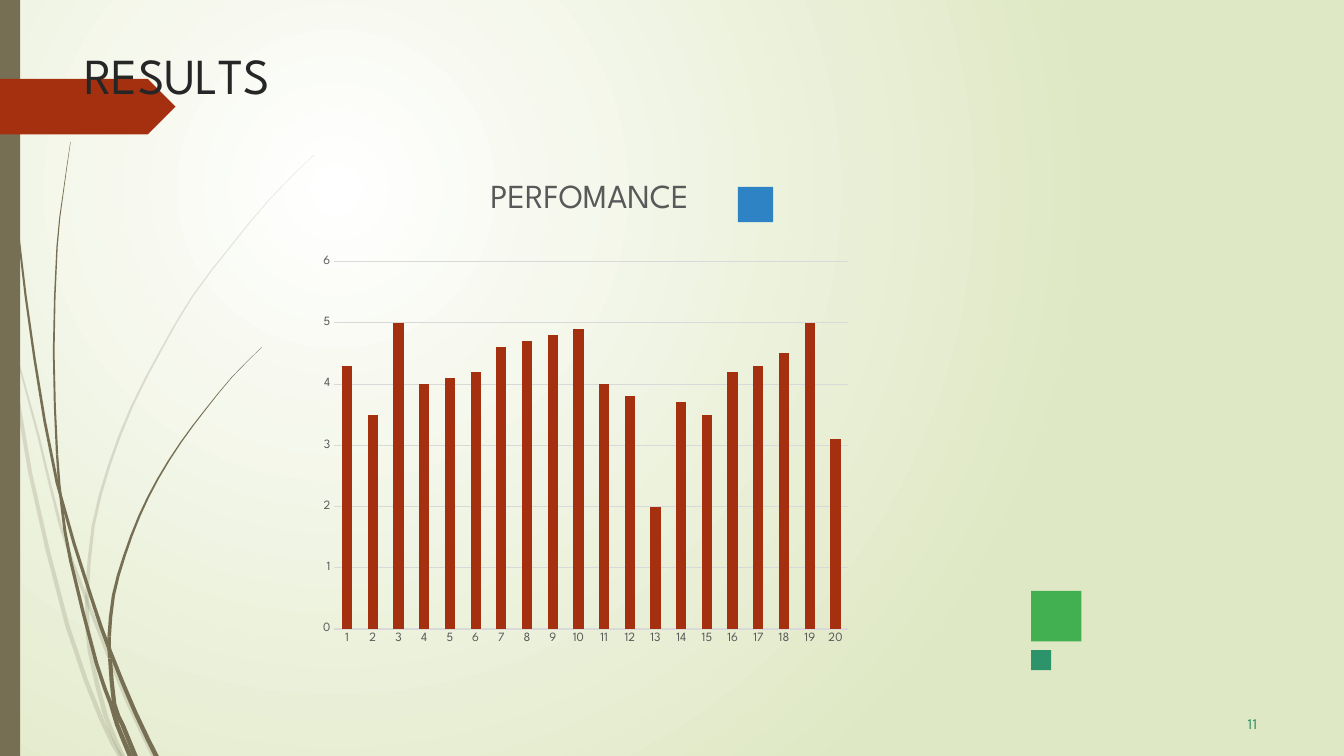
"""Build the results slide: a column chart of performance beside grass strands."""
from dataclasses import dataclass
from itertools import pairwise

from lxml.etree import SubElement
from pptx import Presentation
from pptx.chart.data import CategoryChartData
from pptx.dml.color import RGBColor
from pptx.enum.chart import XL_CHART_TYPE as ChartType, XL_TICK_MARK as TickMark
from pptx.enum.shapes import MSO_SHAPE as Preset
from pptx.enum.text import MSO_ANCHOR as Anchor, MSO_AUTO_SIZE as AutoSize, PP_ALIGN as Align
from pptx.oxml.ns import qn
from pptx.util import Inches, Pt


@dataclass(frozen=True)
class Theme:
    heading: str = "League Spartan"
    body: str = "Karla"
    ink: str = "262626"
    muted: str = "595959"
    grid: str = "D9D9D9"
    glow: str = "FFFFFF"
    meadow: str = "DFE8C4"
    olive: str = "766F54"
    rust: str = "A53010"
    green: str = "42AF51"
    blue: str = "2D83C3"
    teal: str = "2D936B"
    title_size: int = 36
    chart_title_size: int = 24
    number_size: int = 11
    axis_size: int = 9


theme = Theme()
CELL = Inches(1) / 12
COLUMNS, ROWS = 160, 90
STEPS = 2
HALF_WIDTH = 0.32


def write(paragraph, text, size, color, font=theme.heading, spacing=0):
    run = paragraph.add_run()
    run.text = text
    run.font.size, run.font.name, run.font.bold = Pt(size), font, False
    run.font.color.rgb = RGBColor.from_string(color)
    if spacing:
        run._r.get_or_add_rPr().set("spc", str(round(spacing * 100)))


def paint(shape, color):
    shape.fill.solid()
    shape.fill.fore_color.rgb = RGBColor.from_string(color)
    shape.line.fill.background()
    shape.shadow.inherit = False


presentation = Presentation()
presentation.slide_width, presentation.slide_height = round(COLUMNS * CELL), round(ROWS * CELL)
slide = presentation.slides.add_slide(presentation.slide_layouts[5])

background = slide.background.fill
background.gradient()
for stop, position, color in zip(background.gradient_stops, (0, 1), (theme.glow, theme.meadow)):
    stop.position = position
    stop.color.rgb = RGBColor.from_string(color)
gradient = next(slide.element.iter(qn("a:gradFill")))
gradient.remove(gradient.find(qn("a:lin")))
circle = SubElement(gradient, qn("a:path"), path="circle")
SubElement(circle, qn("a:fillToRect"), l="50000", t="50000", r="100000", b="100000")

strands = [
    (20, 0.6, (1, 4), [(0, 34.8), (1.3, 42), (3.6, 56.3), (8, 74.4), (12.1, 85.7), (14.3, 90)]),
    (20, 0.3, (3,), [(1.7, 41.4), (4.6, 52), (7.2, 62.6), (10.4, 71.6), (15, 83.1), (18.3, 90)]),
    (20, 0.06, (8, 9, 11), [
        (37.4, 18.4), (32.2, 23.6), (27.4, 29.4), (22.9, 35.3), (19.1, 41.8), (15.7, 48.4),
        (13, 55.4), (11.1, 62.6), (10.4, 70.1), (10.4, 73.2), (10.7, 77.5), (12.6, 85.3),
        (14.6, 90)]),
    (100, 0.15, (4, 6), [
        (0.4, 0), (0.9, 13.2), (2.2, 28), (4.1, 42.6), (6.8, 57.5), (10.8, 70.9),
        (13.1, 77.5), (16.1, 84.8), (18.6, 90)]),
    (100, 0.06, (4, 5, 9), [
        (8.4, 16.9), (7.5, 23.2), (6.8, 29.4), (6.4, 41.9), (6.8, 54.1), (7.4, 60.6),
        (8.4, 66.7), (11.5, 79), (13.2, 83.8), (14, 86.4), (15.5, 90)]),
    (100, 0.06, (8, 9, 11), [
        (31.2, 41.3), (27.7, 44.8), (24.5, 48.7), (21.5, 52.7), (18.8, 57), (16.6, 61.4),
        (14.8, 66.2), (13.5, 70.9), (13, 75.8), (13.1, 78.4), (13.6, 83.8), (14.6, 86.3),
        (16.1, 90)]),
]
for opacity, tip, cuts, knots in strands:
    padded = [knots[0], *knots, knots[-1]]
    curve = []
    for before, start, end, after in zip(padded, padded[1:], padded[2:], padded[3:]):
        for step in range(STEPS):
            t = step / STEPS
            curve.append([
                b + (c - a) * t / 2 + (2 * a - 5 * b + 4 * c - d) * t**2 / 2
                + (3 * b - a - 3 * c + d) * t**3 / 2
                for a, b, c, d in zip(before, start, end, after)
            ])
    curve.append(knots[-1])
    taper = [HALF_WIDTH * (tip + (1 - tip) * i / len(curve)) for i in range(len(curve))]
    left = [((x - half) * CELL, y * CELL) for (x, y), half in zip(curve, taper)]
    right = [((x + half) * CELL, y * CELL) for (x, y), half in zip(curve, taper)]
    for first, last in pairwise((0, *cuts, len(knots) - 1)):
        span = slice(first * STEPS, last * STEPS + 1)
        builder = slide.shapes.build_freeform(*left[span][0])
        builder.add_line_segments(left[span][1:] + right[span][::-1], close=True)
        blade = builder.convert_to_shape()
        paint(blade, theme.olive)
        if opacity < 100:
            fill_color = blade.element.spPr.find(qn("a:solidFill"))[0]
            SubElement(fill_color, qn("a:alpha"), val=str(opacity * 1000))

blocks = [
    (Preset.RECTANGLE, theme.olive, (0, 0, 2.4, ROWS)),
    (Preset.PENTAGON, theme.rust, (0, 9.4, 20.9, 6.6)),
    (Preset.RECTANGLE, theme.green, (122.75, 70.35, 6, 6)),
    (Preset.RECTANGLE, theme.blue, (87.85, 22.25, 4.2, 4.2)),
    (Preset.RECTANGLE, theme.teal, (122.75, 77.4, 2.4, 2.4)),
]
for preset, color, box in blocks:
    paint(slide.shapes.add_shape(preset, *(round(cells * CELL) for cells in box)), color)

title = slide.shapes.title
title.element.getparent().append(title.element)
title.left, title.top, title.width, title.height = (round(c * CELL) for c in (10, 5, 32, 10))
number = slide.shapes.add_textbox(*(round(c * CELL) for c in (148, 85, 3, 2.5)))
for shape, space, inset in ((title, 1.1, 0.25), (number, 0.6, 0)):
    frame = shape.text_frame
    frame.margin_left = frame.margin_right = frame.margin_bottom = 0
    frame.margin_top = round(inset * CELL)
    frame.word_wrap, frame.auto_size = True, AutoSize.NONE
    frame.vertical_anchor = Anchor.TOP
    frame.paragraphs[0].alignment = Align.LEFT
    frame.paragraphs[0].space_before = Pt(space)
for letters, spacing in (("RESU", 0), ("L", -3.5), ("TS", 0)):
    write(title.text_frame.paragraphs[0], letters, theme.title_size, theme.ink, spacing=spacing)
number.text_frame.margin_left = round(0.5 * CELL)
write(number.text_frame.paragraphs[0], "11", theme.number_size, theme.teal, font=theme.body)

scores = CategoryChartData()
scores.categories = [str(index) for index in range(1, 21)]
scores.add_series("Series 1", [4.3, 3.5, 5, 4, 4.1, 4.2, 4.6, 4.7, 4.8, 4.9,
                               4, 3.8, 2, 3.7, 3.5, 4.2, 4.3, 4.5, 5, 3.1])
chart = slide.shapes.add_chart(
    ChartType.COLUMN_CLUSTERED, *(round(c * CELL) for c in (33, 19, 85, 60.75)), scores).chart
chart.has_legend = False
chart.font.name, chart.font.size = theme.heading, Pt(theme.axis_size)
chart.has_title = True
write(chart.chart_title.text_frame.paragraphs[0], "PERFOMANCE",
      theme.chart_title_size, theme.muted)
chart.chart_title.include_in_layout = False

plot = chart.plots[0]
plot.gap_width, plot.vary_by_categories = 150, False
bars = plot.series[0].format.fill
bars.solid()
bars.fore_color.rgb = RGBColor.from_string(theme.rust)

for axis in (chart.category_axis, chart.value_axis):
    axis.major_tick_mark = axis.minor_tick_mark = TickMark.NONE
    axis.format.line.fill.background()
    axis.tick_labels.font.name = theme.heading
    axis.tick_labels.font.size = Pt(theme.axis_size)
    axis.tick_labels.font.color.rgb = RGBColor.from_string(theme.muted)
values = chart.value_axis
values.minimum_scale, values.maximum_scale, values.major_unit = 0, 6, 1
values.has_major_gridlines = True
values.major_gridlines.format.line.color.rgb = RGBColor.from_string(theme.grid)
values.major_gridlines.format.line.width = Pt(0.75)

plot_area = next(chart.element.iter(qn("c:plotArea")))
edges = {"xMode": "edge", "yMode": "edge"}
placements = [
    (chart.chart_title.element, 1, {**edges, "x": 0.29, "y": 0.03}),
    (plot_area, 0, {"layoutTarget": "inner", **edges, "x": 0.08, "y": 0.2, "w": 0.72, "h": 0.72}),
]
for parent, index, settings in placements:
    for automatic in parent.findall(qn("c:layout")):
        parent.remove(automatic)
    layout = SubElement(parent, qn("c:layout"))
    manual = SubElement(layout, qn("c:manualLayout"))
    for name, value in settings.items():
        SubElement(manual, qn(f"c:{name}"), val=str(value))
    parent.insert(index, layout)

presentation.save("out.pptx")
